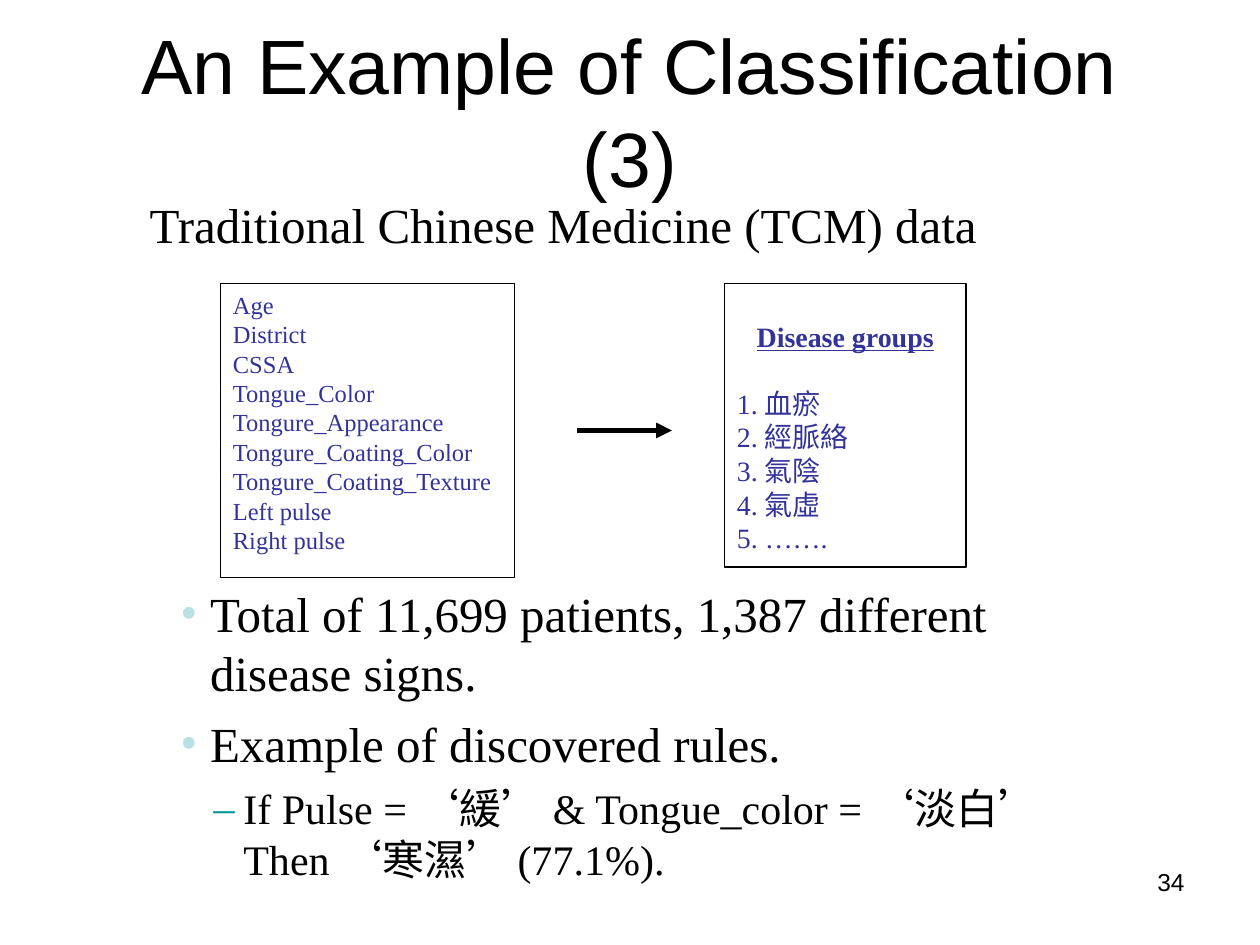
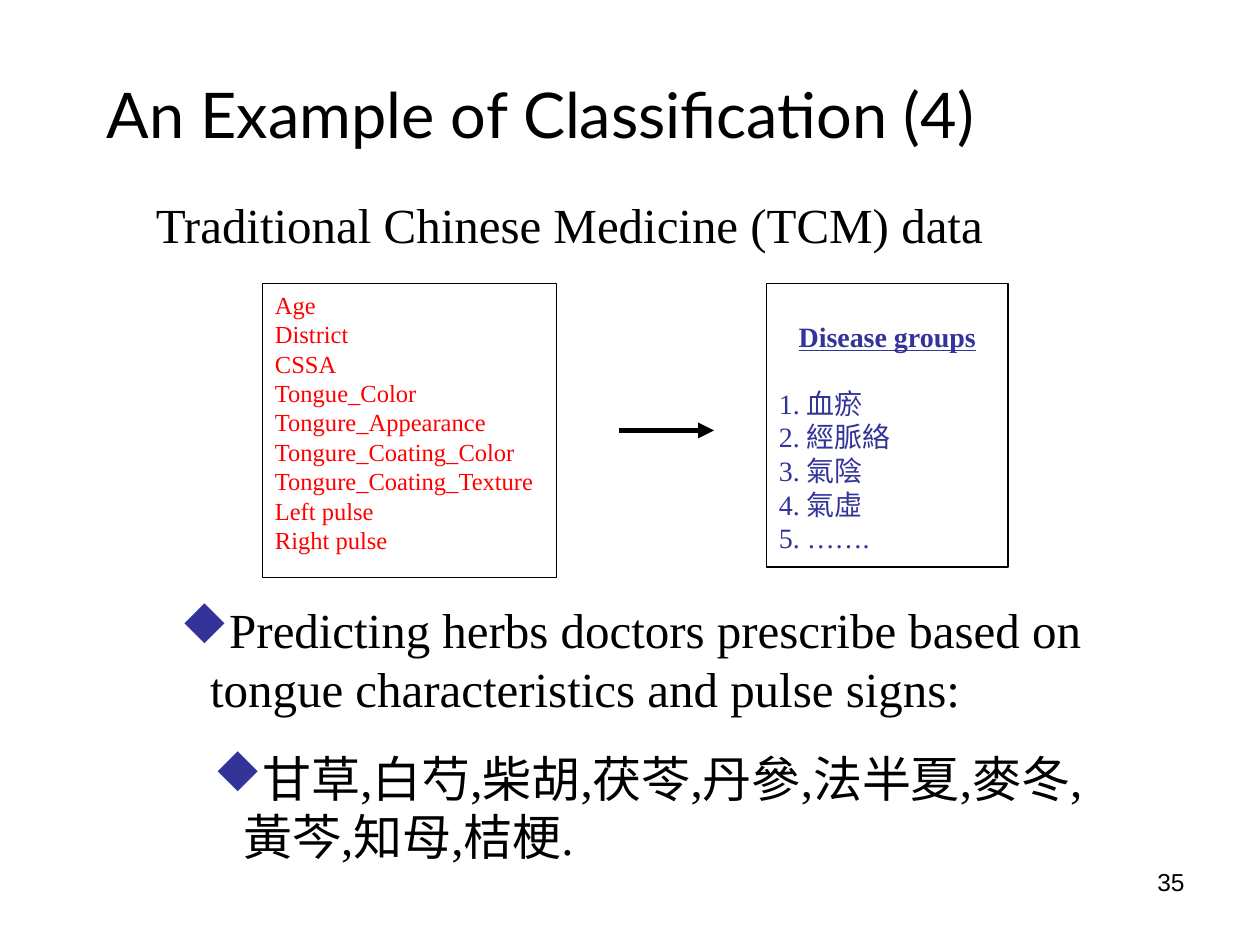
from pptx import Presentation
from pptx.dml.color import RGBColor
from pptx.enum.shapes import MSO_CONNECTOR, MSO_SHAPE
from pptx.enum.text import MSO_ANCHOR, PP_ALIGN
from pptx.oxml.ns import qn
from pptx.util import Pt
from lxml.etree import SubElement

HUES = {"ink": "000000", "paper": "FFFFFF", "navy": "333399", "red": "FF0000",
        "pale": "BBE0E3", "teal": "009999"}
SERIF = "Times New Roman"
GEM = "u"  # the diamond in Wingdings
SIGNS = ["Age", "District", "CSSA", "Tongue_Color Tongure_Appearance",
         "Tongure_Coating_Color", "Tongure_Coating_Texture",
         "Left pulse", "Right pulse"]
GROUPS = ["Disease groups", "1. 血瘀", "2. 經脈絡", "3. 氣陰", "4. 氣虛", "5. ……."]

SLIDES = [
    {"title": "An Example of Classification (3)", "font": "Arial", "size": 44,
     "top": 24, "align": PP_ALIGN.CENTER, "anchor": MSO_ANCHOR.MIDDLE,
     "page": "34", "lead": 78.5, "left": 126, "hue": "navy",
     "list": 330, "tall": 178.6,
     "points": [
         (0, "Total of 11,699 patients, 1,387 different disease signs.", 28, 0, "•", "pale"),
         (0, "Example of discovered rules.", 28, 7, "•", "pale"),
         (1, "If Pulse = ‘緩’ & Tongue_color = ‘淡白’ Then ‘寒濕’ (77.1%).",
          24, 6, "–", "teal")]},
    {"title": "An Example of Classification (4)", "font": "Lato", "size": 36,
     "top": 12, "align": PP_ALIGN.LEFT, "anchor": MSO_ANCHOR.BOTTOM,
     "page": "35", "lead": 82, "left": 150, "hue": "red",
     "list": 339.3, "tall": 159,
     "points": [
         (0, "Predicting herbs doctors prescribe based on tongue characteristics "
             "and pulse signs:", 28, 0, GEM, "navy"),
         (1, "甘草,白芍,柴胡,茯苓,丹參,法半夏,麥冬,黃芩,知母,桔梗.",
          28, 17.5, GEM, "navy")]},
]


def write(shape, lines, size, font=SERIF, hue="ink", align=PP_ALIGN.LEFT):
    """Fill a shape with one paragraph per line, at 1.2 line pitch."""
    frame = shape.text_frame
    frame.text = "\n".join(lines)
    frame.word_wrap = True
    frame.vertical_anchor = MSO_ANCHOR.TOP
    for para in frame.paragraphs:
        para.alignment = align
        para.line_spacing = Pt(size * 1.2)
        for run in para.runs:
            run.font.size = Pt(size)
            run.font.name = font
            run.font.color.rgb = RGBColor.from_string(HUES[hue])
    return frame


def panel(slide, left, width, height):
    box = slide.shapes.add_shape(MSO_SHAPE.RECTANGLE, Pt(left), Pt(162), Pt(width), Pt(height))
    box.shadow.inherit = False
    box.fill.solid()
    box.fill.fore_color.rgb = RGBColor.from_string(HUES["paper"])
    box.line.color.rgb = RGBColor.from_string(HUES["ink"])
    box.line.width = Pt(0.75)
    return box


deck = Presentation()
deck.slide_width, deck.slide_height = Pt(720), Pt(540)

for data in SLIDES:
    slide = deck.slides.add_slide(deck.slide_layouts[6])
    shapes = slide.shapes

    # Page number and title
    page = shapes.add_textbox(Pt(516), Pt(492), Pt(168), Pt(37.5))
    write(page, [data["page"]], 14, "Arial", align=PP_ALIGN.RIGHT)
    title = shapes.add_textbox(Pt(54), Pt(data["top"]), Pt(612), Pt(78))
    frame = write(title, [data["title"]], data["size"], data["font"], align=data["align"])
    frame.vertical_anchor = data["anchor"]

    # Signs, arrow and disease groups
    left = data["left"]
    write(panel(slide, left, 168, 168), SIGNS, 14, hue=data["hue"])
    frame = write(panel(slide, left + 288, 138, 162), GROUPS, 16, hue="navy")
    frame.margin_top = Pt(20.4)
    head, first = frame.paragraphs[:2]
    head.alignment = PP_ALIGN.CENTER
    head.runs[0].font.bold = head.runs[0].font.underline = True
    first.space_before = Pt(19.2)

    arrow = shapes.add_connector(MSO_CONNECTOR.STRAIGHT, Pt(left + 204), Pt(246),
                                 Pt(left + 258), Pt(246))
    arrow.line.color.rgb = RGBColor.from_string(HUES["ink"])
    arrow.line.width = Pt(3)
    SubElement(arrow.line._get_or_add_ln(), qn("a:tailEnd"), type="triangle")
    SubElement(arrow._element.spPr, qn("a:effectLst"))

    # Bulleted findings
    points = data["points"]
    notes = shapes.add_textbox(Pt(96), Pt(data["list"]), Pt(546), Pt(data["tall"]))
    frame = write(notes, [point[1] for point in points], 28)
    for para, (level, _, size, gap, mark, hue) in zip(frame.paragraphs, points):
        para.level = level
        para.space_before = Pt(gap)
        para.line_spacing = Pt(size * 1.2)
        para.runs[0].font.size = Pt(size)
        props = para._p.get_or_add_pPr()
        props.set("marL", str(Pt(36 if level else 17)))
        props.set("indent", str(Pt(-17)))
        color = SubElement(props, qn("a:buClr"))
        SubElement(color, qn("a:srgbClr"), val=HUES[hue])
        face = SubElement(props, qn("a:buFont"), typeface=SERIF)
        if mark == GEM:
            face.set("typeface", "Wingdings")
            face.set("charset", "2")
        SubElement(props, qn("a:buChar"), char=mark)

    lead = shapes.add_textbox(Pt(data["lead"]), Pt(107.4), Pt(488), Pt(41))
    write(lead, ["Traditional Chinese Medicine (TCM) data"], 28).word_wrap = False

deck.save("out.pptx")
